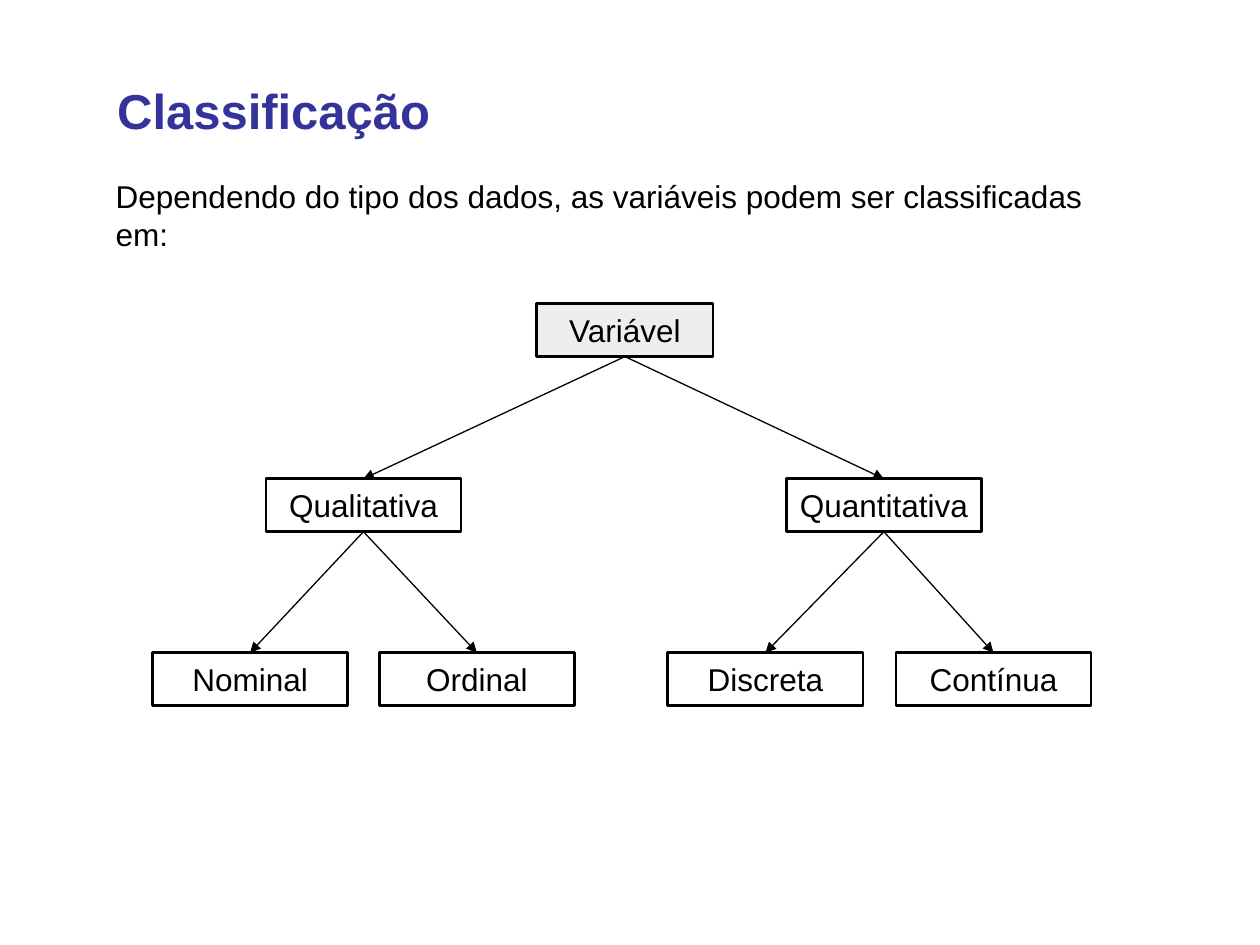
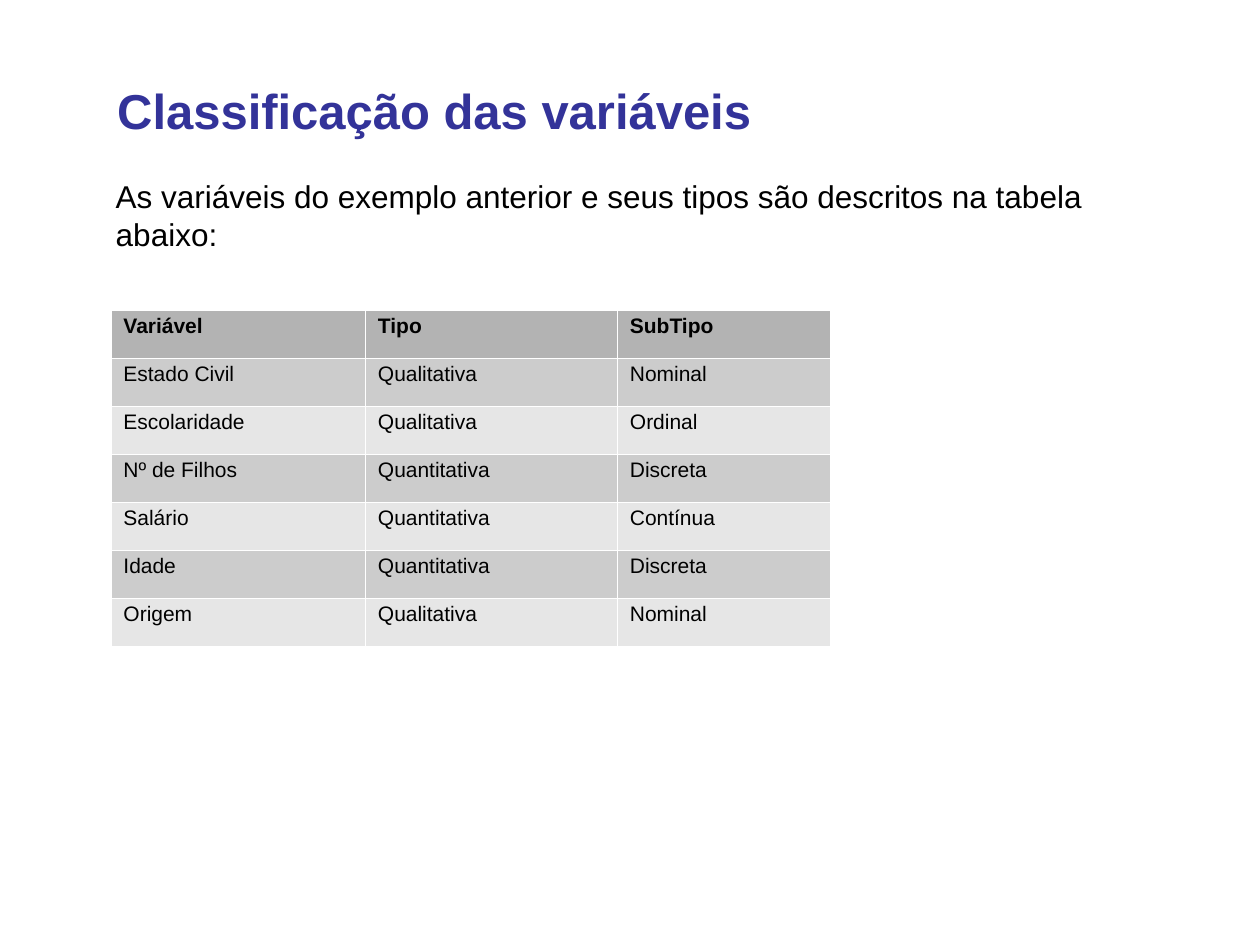
import pptx
import pptx.util
import pptx.dml.color
import pptx.enum.text
import pptx.enum.shapes
import pptx.oxml
import pptx.oxml.ns

Inches = pptx.util.Inches
Pt = pptx.util.Pt
RGB = pptx.dml.color.RGBColor
ALIGN = pptx.enum.text.PP_ALIGN
ANCHOR = pptx.enum.text.MSO_ANCHOR
RECT = pptx.enum.shapes.MSO_SHAPE.RECTANGLE
LINE = pptx.enum.shapes.MSO_CONNECTOR.STRAIGHT

BLACK = RGB(0x00, 0x00, 0x00)
NAVY = RGB(0x33, 0x33, 0x99)
PALE = RGB(0xEE, 0xEE, 0xEE)
HEAD = RGB(0xB3, 0xB3, 0xB3)
BANDS = [RGB(0xCC, 0xCC, 0xCC), RGB(0xE6, 0xE6, 0xE6)]


def write(frame, text, size=18, color=BLACK, bold=False, align=ALIGN.LEFT,
          space=1.0):
    par = frame.paragraphs[0]
    par.alignment = align
    par.line_spacing = space
    run = par.add_run()
    run.text = text
    run.font.name = "Arial"
    run.font.size = Pt(size)
    run.font.bold = bold
    run.font.color.rgb = color


def tag(parent, name, **attrs):
    node = pptx.oxml.ns.qn("a:" + name)
    item = parent.makeelement(node, attrs)
    parent.append(item)
    return item


deck = pptx.Presentation()
deck.slide_width = Inches(10)
deck.slide_height = Inches(7.5)

# Title and lead text of each slide
pages = []
for head, lead, high in [
    ("Classificação",
     "Dependendo do tipo dos dados, as variáveis podem ser classificadas em:",
     0.7),
    ("Classificação das variáveis",
     "As variáveis do exemplo anterior e seus tipos são descritos na tabela "
     "abaixo:", 0.84),
]:
    page = deck.slides.add_slide(deck.slide_layouts[5])
    title = page.shapes.title
    title.left, title.top = Inches(0.83), Inches(0.56)
    title.width, title.height = Inches(8.51), Inches(0.63)
    title.text_frame.auto_size = pptx.enum.text.MSO_AUTO_SIZE.NONE
    title.text_frame.vertical_anchor = ANCHOR.MIDDLE
    write(title.text_frame, head, size=28, color=NAVY, bold=True)
    body = page.shapes.add_textbox(
        Inches(0.82), Inches(1.36), Inches(8.28), Inches(high))
    body.text_frame.word_wrap = True
    write(body.text_frame, lead)
    pages.append(page)
tree, types = pages

# Tree boxes: name, parent, left, top, width
boxes = {}
for name, root, left, top, width in [
    ("Variável", None, 4.26, 2.41, 1.4),
    ("Qualitativa", "Variável", 2.11, 3.8, 1.55),
    ("Quantitativa", "Variável", 6.24, 3.8, 1.55),
    ("Nominal", "Qualitativa", 1.21, 5.18, 1.55),
    ("Ordinal", "Qualitativa", 3.01, 5.18, 1.55),
    ("Discreta", "Quantitativa", 5.3, 5.18, 1.55),
    ("Contínua", "Quantitativa", 7.11, 5.18, 1.55),
]:
    box = tree.shapes.add_shape(
        RECT, Inches(left), Inches(top), Inches(width), Inches(0.42))
    box.shadow.inherit = False
    box.line.color.rgb = BLACK
    box.line.width = Pt(1.5)
    if root:
        box.fill.background()
    else:
        box.fill.solid()
        box.fill.fore_color.rgb = PALE
    frame = box.text_frame
    frame.word_wrap = False
    frame.vertical_anchor = ANCHOR.MIDDLE
    frame.margin_left = frame.margin_right = Inches(0.11)
    frame.margin_top = frame.margin_bottom = Inches(0.06)
    write(frame, name, align=ALIGN.CENTER)
    boxes[name] = box

    # Arrow from the parent box
    if root:
        arrow = tree.shapes.add_connector(LINE, 0, 0, 0, 0)
        arrow.begin_connect(boxes[root], 2)
        arrow.end_connect(box, 0)
        arrow.line.color.rgb = BLACK
        arrow.line.width = Pt(0.75)
        tag(arrow.line._get_or_add_ln(), "tailEnd", type="triangle")
        tag(arrow._element.spPr, "effectLst")

# Table of variables
rows = [
    ("Variável", "Tipo", "SubTipo"),
    ("Estado Civil", "Qualitativa", "Nominal"),
    ("Escolaridade", "Qualitativa", "Ordinal"),
    ("Nº de Filhos", "Quantitativa", "Discreta"),
    ("Salário", "Quantitativa", "Contínua"),
    ("Idade", "Quantitativa", "Discreta"),
    ("Origem", "Qualitativa", "Nominal"),
]
grid = types.shapes.add_table(
    len(rows), 3, Inches(0.88), Inches(2.46), Inches(5.7), Inches(2.67)).table
for col, width in zip(grid.columns, [2.02, 2, 1.69]):
    col.width = Inches(width)
for r, row in enumerate(rows):
    for c, text in enumerate(row):
        cell = grid.cell(r, c)
        write(cell.text_frame, text, size=12, bold=r == 0, space=0.93)
        # Thin white borders come before the fill
        props = cell._tc.get_or_add_tcPr()
        for side in ["lnL", "lnR", "lnT", "lnB"]:
            edge = tag(props, side, w=str(Pt(0.06)))
            tag(tag(edge, "solidFill"), "srgbClr", val="FFFFFF")
        cell.fill.solid()
        cell.fill.fore_color.rgb = BANDS[(r - 1) % 2] if r else HEAD

deck.save("out.pptx")
